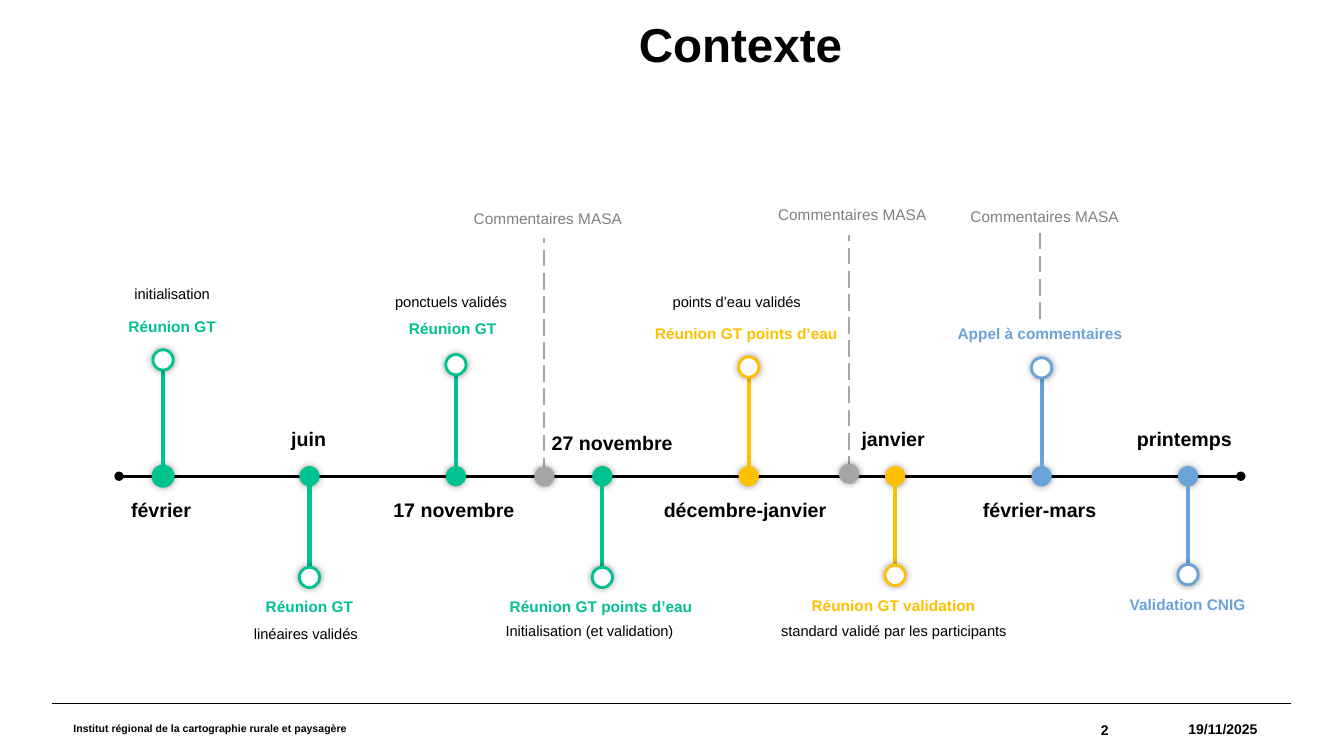
from dataclasses import dataclass
from typing import Optional

from lxml import etree
from pptx import Presentation
from pptx.dml.color import RGBColor
from pptx.enum.dml import MSO_LINE
from pptx.enum.shapes import MSO_CONNECTOR, MSO_SHAPE
from pptx.enum.text import MSO_ANCHOR, MSO_AUTO_SIZE, PP_ALIGN
from pptx.oxml.ns import qn
from pptx.util import Cm, Pt

STRAIGHT = MSO_CONNECTOR.STRAIGHT
OVAL = MSO_SHAPE.OVAL
LONG_DASH = MSO_LINE.LONG_DASH
FIT_TEXT = MSO_AUTO_SIZE.SHAPE_TO_FIT_TEXT
TOP, MIDDLE = MSO_ANCHOR.TOP, MSO_ANCHOR.MIDDLE
LEFT, CENTER, RIGHT = PP_ALIGN.LEFT, PP_ALIGN.CENTER, PP_ALIGN.RIGHT

BLACK = RGBColor(0x00, 0x00, 0x00)
WHITE = RGBColor(0xFF, 0xFF, 0xFF)
GREEN = RGBColor(0x00, 0xC2, 0x8F)
YELLOW = RGBColor(0xFF, 0xC0, 0x00)
BLUE = RGBColor(0x6A, 0xA2, 0xDA)
GREY = RGBColor(0xA6, 0xA6, 0xA6)
DARK_GREY = RGBColor(0x80, 0x80, 0x80)

FONT = "Arial"
AXIS_Y = 12
FIRST_X = 4.11
STEP_X = 3.69
DOT_SIZE = 0.51


@dataclass
class Label:
    """A one-line text, placed by its centre, top and width in cm."""
    text: str
    centre: float
    top: float
    width: float


@dataclass
class Milestone:
    colour: RGBColor
    ring_y: float
    date: Label
    title: Label
    note: Optional[Label] = None


@dataclass
class Comment:
    """A dashed marker; dot_y is None where it has no dot."""
    x: float
    bottom: float
    top: float
    dot_y: Optional[float]
    label: Label


MILESTONES = [
    Milestone(GREEN, 9.07, Label("février", 4.06, 12.42, 2.08),
              Label("Réunion GT", 4.34, 7.87, 2.84),
              Label("initialisation", 4.34, 7.06, 2.79)),
    Milestone(GREEN, 14.55, Label("juin", 7.78, 10.64, 1.4),
              Label("Réunion GT", 7.8, 14.91, 2.74),
              Label("linéaires validés", 7.71, 15.62, 3.33)),
    Milestone(GREEN, 9.19, Label("17 novembre", 11.44, 12.42, 3.61),
              Label("Réunion GT", 11.41, 7.9, 2.84),
              Label("ponctuels validés", 11.37, 7.24, 3.63)),
    Milestone(GREEN, 14.55, Label("27 novembre", 15.43, 10.72, 3.68),
              Label("Réunion GT points d’eau", 15.15, 14.91, 5.21),
              Label("Initialisation (et validation)", 14.86, 15.54, 5.33)),
    Milestone(YELLOW, 9.25, Label("décembre-janvier", 18.78, 12.42, 4.72),
              Label("Réunion GT points d’eau", 18.81, 8.05, 5.33),
              Label("points d’eau validés", 18.57, 7.26, 4.09)),
    Milestone(YELLOW, 14.5, Label("janvier", 22.51, 10.64, 2.13),
              Label("Réunion GT validation", 22.52, 14.88, 4.78),
              Label("standard validé par les participants", 22.53, 15.54, 6.91)),
    Milestone(BLUE, 9.27, Label("février-mars", 26.2, 12.42, 3.4),
              Label("Appel à commentaires", 26.21, 8.03, 4.83)),
    Milestone(BLUE, 14.48, Label("printemps", 29.85, 10.64, 2.97),
              Label("Validation CNIG", 29.93, 14.86, 3.68)),
]

COMMENTS = [
    Comment(13.72, 11.96, 5.99, 12.01, Label("Commentaires MASA", 13.81, 5.13, 4.6)),
    Comment(21.4, 11.91, 5.92, 11.94, Label("Commentaires MASA", 21.48, 5.05, 4.6)),
    Comment(26.21, 8.03, 5.87, None, Label("Commentaires MASA", 26.33, 5.08, 4.6)),
]


def add_line(page, start, end, colour, weight, dash=None, oval_ends=False):
    line = page.shapes.add_connector(STRAIGHT, *map(Cm, start + end))
    line.line.color.rgb = colour
    line.line.width = Pt(weight)
    if dash is not None:
        line.line.dash_style = dash
    properties = line._element.spPr
    if oval_ends:
        outline = properties.find(qn("a:ln"))
        for end_tag in ("a:headEnd", "a:tailEnd"):
            etree.SubElement(outline, qn(end_tag), type="oval")
    etree.SubElement(properties, qn("a:effectLst"))


def add_glow(shape):
    """Give the shape a soft black shadow, even on all sides."""
    shape.shadow.inherit = False
    effects = shape._element.spPr.find(qn("a:effectLst"))
    shadow = etree.SubElement(effects, qn("a:outerShdw"), blurRad=str(Pt(5)),
                              dist="0", algn="ctr", rotWithShape="0")
    colour = etree.SubElement(shadow, qn("a:srgbClr"), val="000000")
    etree.SubElement(colour, qn("a:alpha"), val="40000")


def add_dot(page, x, y, fill, outline=None):
    dot = page.shapes.add_shape(OVAL, Cm(x - DOT_SIZE / 2), Cm(y - DOT_SIZE / 2),
                                Cm(DOT_SIZE), Cm(DOT_SIZE))
    dot.fill.solid()
    dot.fill.fore_color.rgb = fill
    if outline is None:
        dot.line.fill.background()
    else:
        dot.line.color.rgb = outline
        dot.line.width = Pt(2)
    add_glow(dot)


def add_text(page, area, text, size, colour=BLACK, bold=True, align=LEFT,
             anchor=TOP, wrap=True, spacing=1.0):
    """Add a text box without margins; area is left, top, width, height in cm."""
    box = page.shapes.add_textbox(*map(Cm, area))
    frame = box.text_frame
    frame.word_wrap = wrap
    frame.vertical_anchor = anchor
    frame.margin_left = frame.margin_right = 0
    frame.margin_top = frame.margin_bottom = 0
    para = frame.paragraphs[0]
    para.alignment = align
    para.line_spacing = spacing
    span = para.add_run()
    span.text = text
    span.font.name = FONT
    span.font.size = Pt(size)
    span.font.bold = bold
    span.font.color.rgb = colour
    return box


def add_label(page, label, size, height, colour=BLACK, bold=True):
    area = (label.centre - label.width / 2, label.top, label.width, height)
    box = add_text(page, area, label.text, size, colour, bold, CENTER, wrap=False)
    frame = box.text_frame
    frame.margin_left = frame.margin_right = Cm(0.25)
    frame.margin_top = frame.margin_bottom = Cm(0.13)
    frame.auto_size = FIT_TEXT


def add_milestone(page, x, milestone, outline):
    colour = milestone.colour
    add_dot(page, x, AXIS_Y, colour, outline)
    add_line(page, (x, AXIS_Y), (x, milestone.ring_y), colour, 3)
    add_dot(page, x, milestone.ring_y, WHITE, colour)
    add_label(page, milestone.date, 14, 0.86)
    add_label(page, milestone.title, 11, 0.74, colour)
    if milestone.note:
        add_label(page, milestone.note, 10.5, 0.71, bold=False)


def add_comment(page, comment):
    add_line(page, (comment.x, comment.bottom), (comment.x, comment.top),
             GREY, 1.5, LONG_DASH)
    if comment.dot_y is not None:
        add_dot(page, comment.x, comment.dot_y, GREY)
    add_label(page, comment.label, 11, 0.74, DARK_GREY, bold=False)


def add_footer(page):
    add_line(page, (1.32, 17.73), (32.54, 17.73), BLACK, 0.8)
    add_text(page, (1.85, 17.86, 16.41, 0.99),
             "Institut régional de la cartographie rurale et paysagère",
             7.5, anchor=MIDDLE)
    add_text(page, (28.65, 17.7, 4.34, 1.32), "19/11/2025", 10,
             align=CENTER, anchor=MIDDLE)
    add_text(page, (23.19, 17.73, 4.75, 1.32), "2", 10, align=RIGHT, anchor=MIDDLE)


def main():
    deck = Presentation()
    deck.slide_width, deck.slide_height = Cm(33.87), Cm(19.05)
    page = deck.slides.add_slide(deck.slide_layouts[6])
    add_text(page, (16.1, 0.53, 7.49, 2.67), "Contexte", 34, spacing=0.9)
    add_line(page, (3, AXIS_Y), (31.27, AXIS_Y), BLACK, 2.25, oval_ends=True)
    for index, milestone in enumerate(MILESTONES):
        outline = GREEN if index == 0 else None
        add_milestone(page, FIRST_X + index * STEP_X, milestone, outline)
    for comment in COMMENTS:
        add_comment(page, comment)
    add_footer(page)
    deck.save("out.pptx")


if __name__ == "__main__":
    main()
